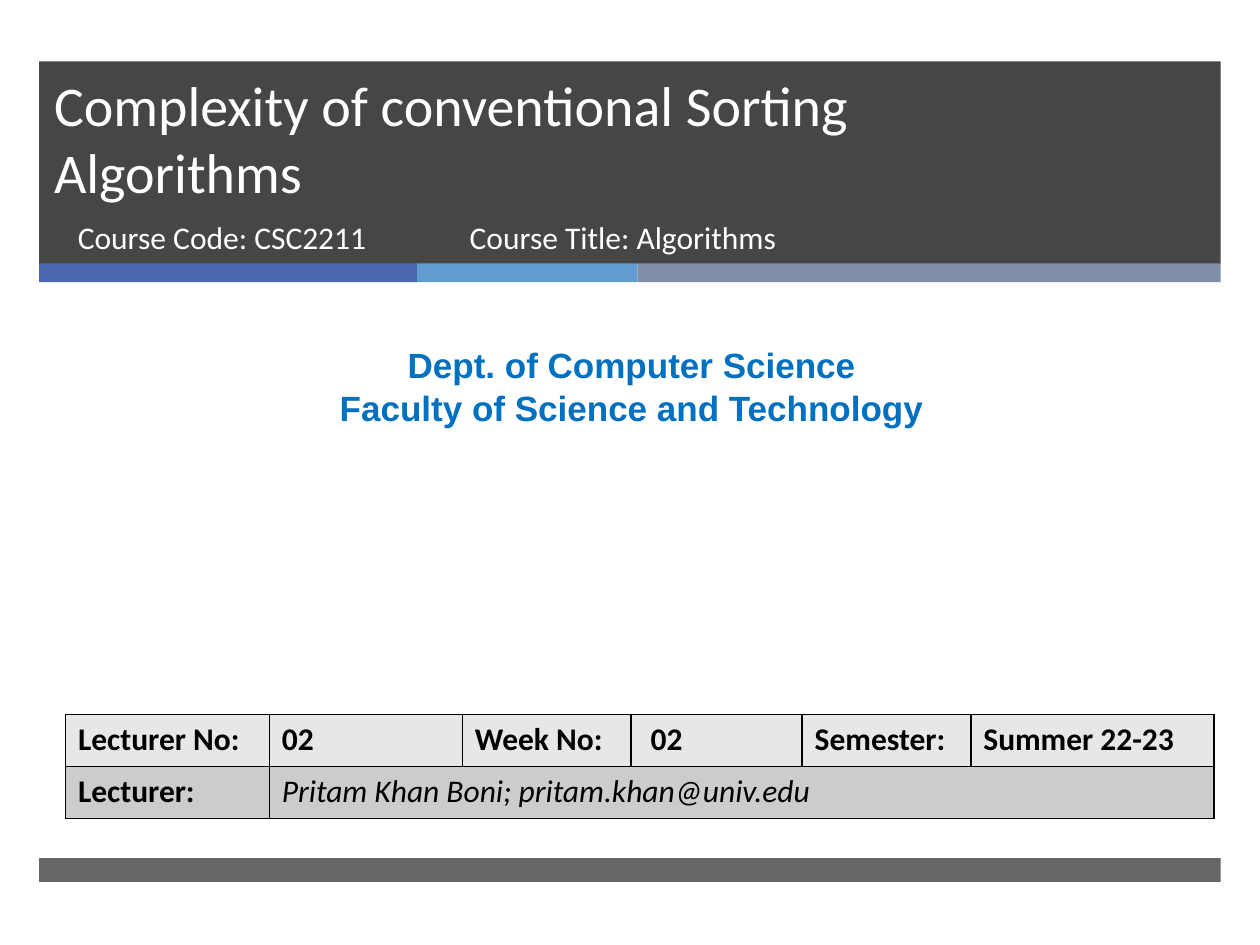
from dataclasses import dataclass
from itertools import accumulate

from lxml.etree import SubElement
from pptx import Presentation
from pptx.dml.color import RGBColor
from pptx.enum.shapes import MSO_SHAPE
from pptx.enum.text import MSO_ANCHOR, PP_ALIGN
from pptx.oxml.ns import qn
from pptx.util import Cm, Pt


@dataclass(frozen=True)
class Theme:
    dark: str = "262626"
    white: str = "FFFFFF"
    black: str = "000000"
    dept: str = "0070C0"
    stripes: tuple = ("4A66AC", "629DD1", "7F8FA9")
    rows: tuple = ("E7E7E7", "CCCCCC")
    body_font: str = "Calibri"
    dept_font: str = "Arial"
    title_size: int = 32
    dept_size: int = 20
    body_size: int = 18


THEME = Theme()
BAND_LEFT, BAND_WIDTH = 0.79, 23.82


def style_font(r, color, **values):
    for name, value in values.items():
        setattr(r.font, name, value)
    r.font.color.rgb = RGBColor.from_string(color)


def add_band(s, left, top, width, height, color, opacity=100):
    sp = s.shapes.add_shape(MSO_SHAPE.RECTANGLE, Cm(left), Cm(top), Cm(width), Cm(height))
    sp.shadow.inherit = False
    sp.fill.solid()
    sp.fill.fore_color.rgb = RGBColor.from_string(color)
    sp.line.fill.background()
    if opacity < 100:
        clr = sp.fill._xPr.find(qn("a:solidFill")).find(qn("a:srgbClr"))
        SubElement(clr, qn("a:alpha"), val=str(opacity * 1000))


def add_text(s, box, lines, color, align=PP_ALIGN.LEFT, frame=None, **font):
    tf = s.shapes.add_textbox(*map(Cm, box)).text_frame
    for name, value in {"word_wrap": True, **(frame or {})}.items():
        setattr(tf, name, value)
    for i, line in enumerate(lines):
        p = tf.add_paragraph() if i else tf.paragraphs[0]
        p.alignment = align
        r = p.add_run()
        r.text = line
        style_font(r, color, **font)


def add_borders(cell, color, width):
    tc_pr = cell._tc.get_or_add_tcPr()
    for side in ("a:lnL", "a:lnR", "a:lnT", "a:lnB"):
        ln = SubElement(tc_pr, qn(side), w=str(Pt(width)))
        SubElement(SubElement(ln, qn("a:solidFill")), qn("a:srgbClr"), val=color)


def add_details_table(s, left, top, widths, row_height, rows):
    shape = s.shapes.add_table(len(rows), len(widths), Cm(left), Cm(top),
                               Cm(sum(widths)), Cm(row_height * len(rows)))
    table = shape.table
    for column, width in zip(table.columns, widths):
        column.width = Cm(width)
    for i, texts in enumerate(rows):
        table.rows[i].height = Cm(row_height)
        for j in range(len(widths)):
            cell = table.cell(i, j)
            add_borders(cell, THEME.black, 1)
            cell.fill.solid()
            cell.fill.fore_color.rgb = RGBColor.from_string(THEME.rows[i])
            if j < len(texts):
                r = cell.text_frame.paragraphs[0].add_run()
                r.text = texts[j]
                contact = "@" in texts[j]
                style_font(r, THEME.black, name=THEME.body_font,
                           size=Pt(THEME.body_size), bold=not contact, italic=contact)
        # The last text of a short row spans the remaining columns
        if len(texts) < len(widths):
            table.cell(i, len(texts) - 1).merge(table.cell(i, len(widths) - 1))


def main():
    prs = Presentation()
    prs.slide_width, prs.slide_height = Cm(25.4), Cm(19.05)
    s = prs.slides.add_slide(prs.slide_layouts[6])

    # Header, coloured stripes and footer
    add_band(s, BAND_LEFT, 1.24, BAND_WIDTH, 4.08, THEME.dark, 85)
    widths = (7.62, 4.44, 11.76)
    lefts = accumulate(widths[:-1], initial=BAND_LEFT)
    for left, width, color in zip(lefts, widths, THEME.stripes):
        add_band(s, left, 5.31, width, 0.38, color)
    add_band(s, BAND_LEFT, 17.3, BAND_WIDTH, 0.48, THEME.dark, 70)

    # Title and course
    add_text(s, (0.84, 1.24, 21.69, 3.02),
             ["Complexity of conventional Sorting Algorithms"], THEME.white,
             frame={"vertical_anchor": MSO_ANCHOR.BOTTOM, "margin_right": Cm(0.5)},
             name=THEME.body_font, size=Pt(THEME.title_size))
    for left, width, text in ((1.32, 7.75, "Course Code: CSC2211"),
                              (9.22, 11.56, "Course Title: Algorithms")):
        add_text(s, (left, 4.27, width, 1.35), [text], THEME.white,
                 name=THEME.body_font, size=Pt(THEME.body_size))

    # Department
    add_text(s, (0.2, 6.81, 25.07, 1.96),
             ["Dept. of Computer Science", "Faculty of Science and Technology"],
             THEME.dept, PP_ALIGN.CENTER,
             name=THEME.dept_font, size=Pt(THEME.dept_size), bold=True)

    # Lecture details
    add_details_table(s, 1.32, 14.4, (4.11, 3.89, 3.4, 3.45, 3.4, 4.9), 1.05, (
        ("Lecturer No:", "02", "Week No:", " 02", "Semester:", "Summer 22-23"),
        ("Lecturer:", "Pritam Khan Boni; pritam.khan@univ.edu"),
    ))

    prs.save("out.pptx")


if __name__ == "__main__":
    main()
